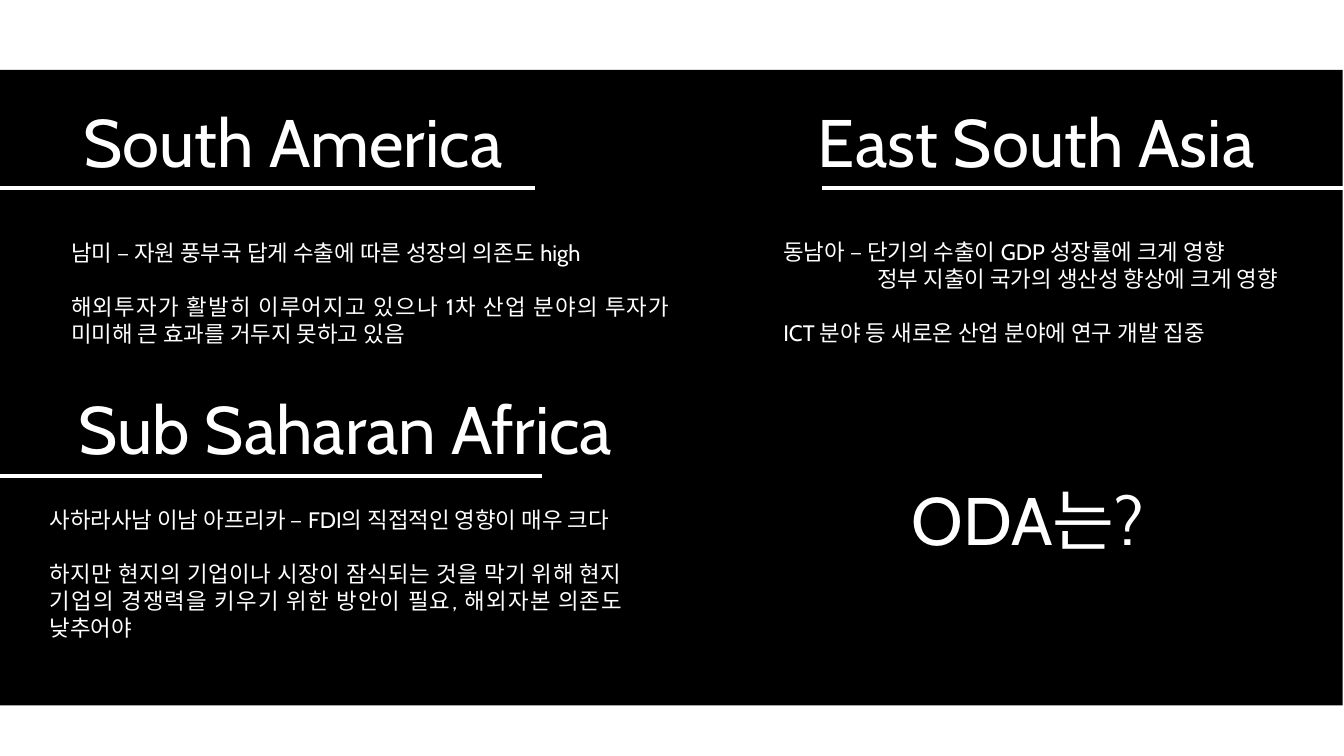
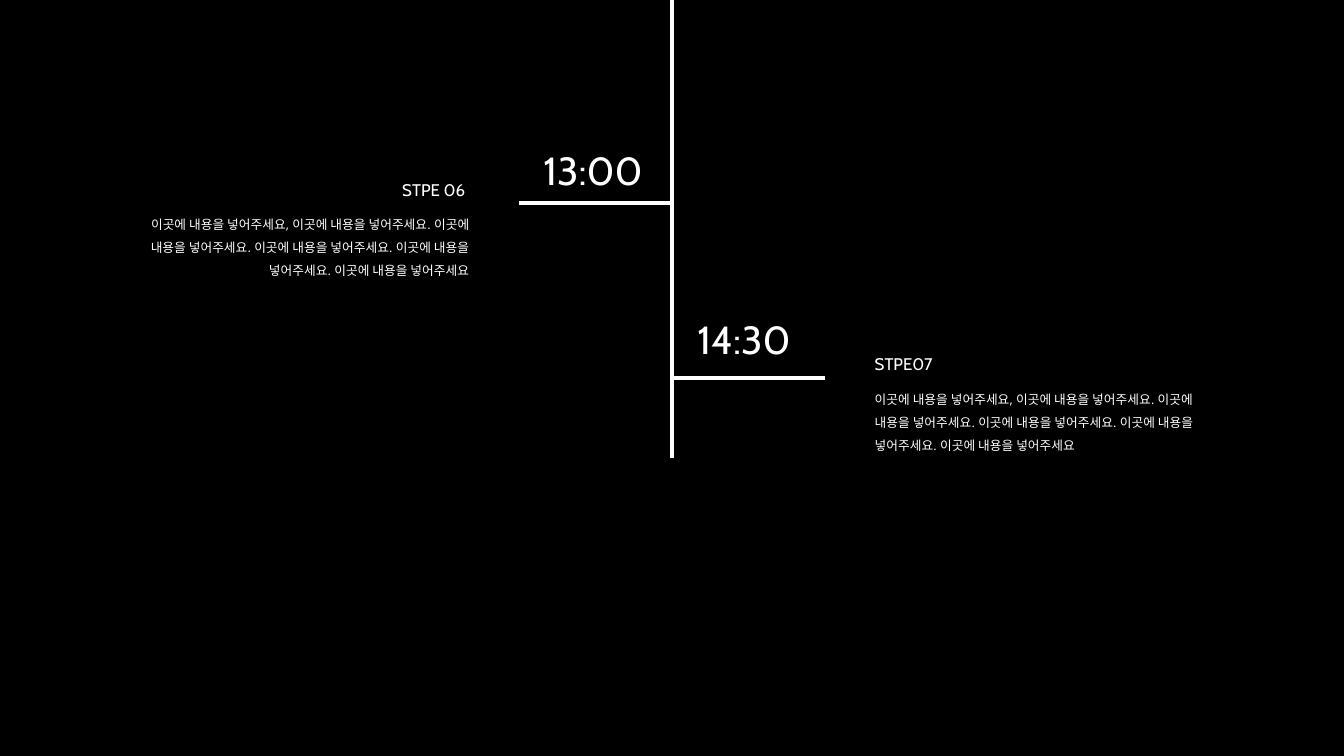
from pptx import Presentation
from pptx.dml.color import RGBColor
from pptx.enum.shapes import MSO_CONNECTOR, MSO_SHAPE
from pptx.enum.text import MSO_AUTO_SIZE, PP_ALIGN
from pptx.oxml.ns import qn
from pptx.util import Pt
from lxml.etree import SubElement

PX = 4572  # 200 px to the inch
WIDTH, HEIGHT = 2000, 1125
AXIS = WIDTH // 2
COLORS = {"panel": "000000", "ink": "FFFFFF"}
HEAD_FONT, BODY_FONT = "Cabin", "Open Sans"
LEFT, RIGHT = PP_ALIGN.LEFT, PP_ALIGN.RIGHT
CENTER, JUSTIFY = PP_ALIGN.CENTER, PP_ALIGN.JUSTIFY
FILLER = ("이곳에 내용을 넣어주세요, 이곳에 내용을 넣어주세요. "
          "이곳에 내용을 넣어주세요. 이곳에 내용을 넣어주세요. "
          "이곳에 내용을 넣어주세요. 이곳에 내용을 넣어주세요")


class Deck:
    def __init__(self):
        self.prs = Presentation()
        self.prs.slide_width = WIDTH * PX
        self.prs.slide_height = HEIGHT * PX
        self.s = None

    def color(self, name):
        return RGBColor.from_string(COLORS[name])

    def slide(self):
        self.s = self.prs.slides.add_slide(self.prs.slide_layouts[6])

    def panel(self, x, y, w, h):
        sp = self.s.shapes.add_shape(
            MSO_SHAPE.RECTANGLE, x * PX, y * PX, w * PX, h * PX)
        sp.shadow.inherit = False
        sp.fill.solid()
        sp.fill.fore_color.rgb = self.color("panel")
        sp.line.fill.background()

    def rule(self, x1, y1, x2, y2):
        cx = self.s.shapes.add_connector(
            MSO_CONNECTOR.STRAIGHT, x1 * PX, y1 * PX, x2 * PX, y2 * PX)
        cx.line.color.rgb = self.color("ink")
        cx.line.width = Pt(2.25)
        SubElement(cx._element.spPr, qn("a:effectLst"))

    def text(self, x, y, w, h, lines, size, align, font=HEAD_FONT, spacing=None):
        box = self.s.shapes.add_textbox(x * PX, y * PX, w * PX, h * PX)
        tf = box.text_frame
        tf.word_wrap = True
        tf.auto_size = MSO_AUTO_SIZE.SHAPE_TO_FIT_TEXT
        tf.text = "\n".join(lines)
        for p in tf.paragraphs:
            p.alignment = align
            if spacing:
                p.line_spacing = spacing
            for r in p.runs:
                r.font.size = Pt(size)
                r.font.name = font
                r.font.color.rgb = self.color("ink")
        return tf.paragraphs

    def title(self, x, y, w, text):
        self.text(x, y, w, 142, [text], 36, CENTER)

    def body(self, x, y, w, h, lines):
        """Body text whose last paragraph stands one line apart."""
        paragraphs = self.text(x, y, w, h, lines, 12, JUSTIFY)
        paragraphs[-1].space_before = Pt(14.5)
        return paragraphs

    def step(self, y, time_y, time, label, detail, side):
        """Timeline entry: a branch from the axis, its time, label and detail."""
        if side == LEFT:
            align, tip, time_x, label_x, detail_x = RIGHT, 772, 700, 436, 156
        else:
            align, tip, time_x, label_x, detail_x = LEFT, 1228, 1018, 1282, 1282
        self.rule(min(tip, AXIS), y, max(tip, AXIS), y)
        self.text(time_x, time_y, 276, 90, [time], 21, align)
        self.text(label_x, y - 45, 276, 50, [label], 9, align)
        self.text(detail_x, y, 562, 122, [detail], 6.8, align, BODY_FONT, 1.5)


def regions(d):
    d.slide()
    d.panel(-2, 104, WIDTH, 946)

    # South America
    d.title(24, 140, 824, "South America")
    d.rule(-4, 280, 796, 280)
    d.body(86, 346, 930, 182, [
        "남미 – 자원 풍부국 답게 수출에 따른 성장의 의존도 high",
        "해외투자가 활발히 이루어지고 있으나 1차 산업 분야의 투자가 "
        "미미해 큰 효과를 거두지 못하고 있음"])

    # East South Asia
    d.title(1142, 140, 800, "East South Asia")
    d.rule(1224, 280, 1998, 280)
    asia = d.body(1146, 344, 930, 182, [
        "동남아 – 단기의 수출이 GDP 성장률에 크게 영향",
        "정부 지출이 국가의 생산성 향상에 크게 영향",
        "ICT 분야 등 새로온 산업 분야에 연구 개발 집중"])
    asia[1]._p.get_or_add_pPr().set("marL", str(140 * PX))

    # Sub Saharan Africa
    d.title(-64, 566, 1156, "Sub Saharan Africa")
    d.rule(0, 708, 806, 708)
    d.body(54, 744, 892, 262, [
        "사하라사남 이남 아프리카 – FDI의 직접적인 영향이 매우 크다",
        "하지만 현지의 기업이나 시장이 잠식되는 것을 막기 위해 현지 "
        "기업의 경쟁력을 키우기 위한 방안이 필요, 해외자본 의존도 낮추어야"])

    # Closing question
    d.title(1092, 702, 876, "ODA는?")


def timeline(d):
    d.slide()
    d.panel(0, 0, WIDTH, HEIGHT)
    d.rule(AXIS, 0, AXIS, 682)
    d.step(302, 208, "13:00", "STPE 06", FILLER, LEFT)
    d.step(562, 460, "14:30", "STPE07", FILLER, RIGHT)


def main():
    d = Deck()
    regions(d)
    timeline(d)
    d.prs.save("out.pptx")


if __name__ == "__main__":
    main()
